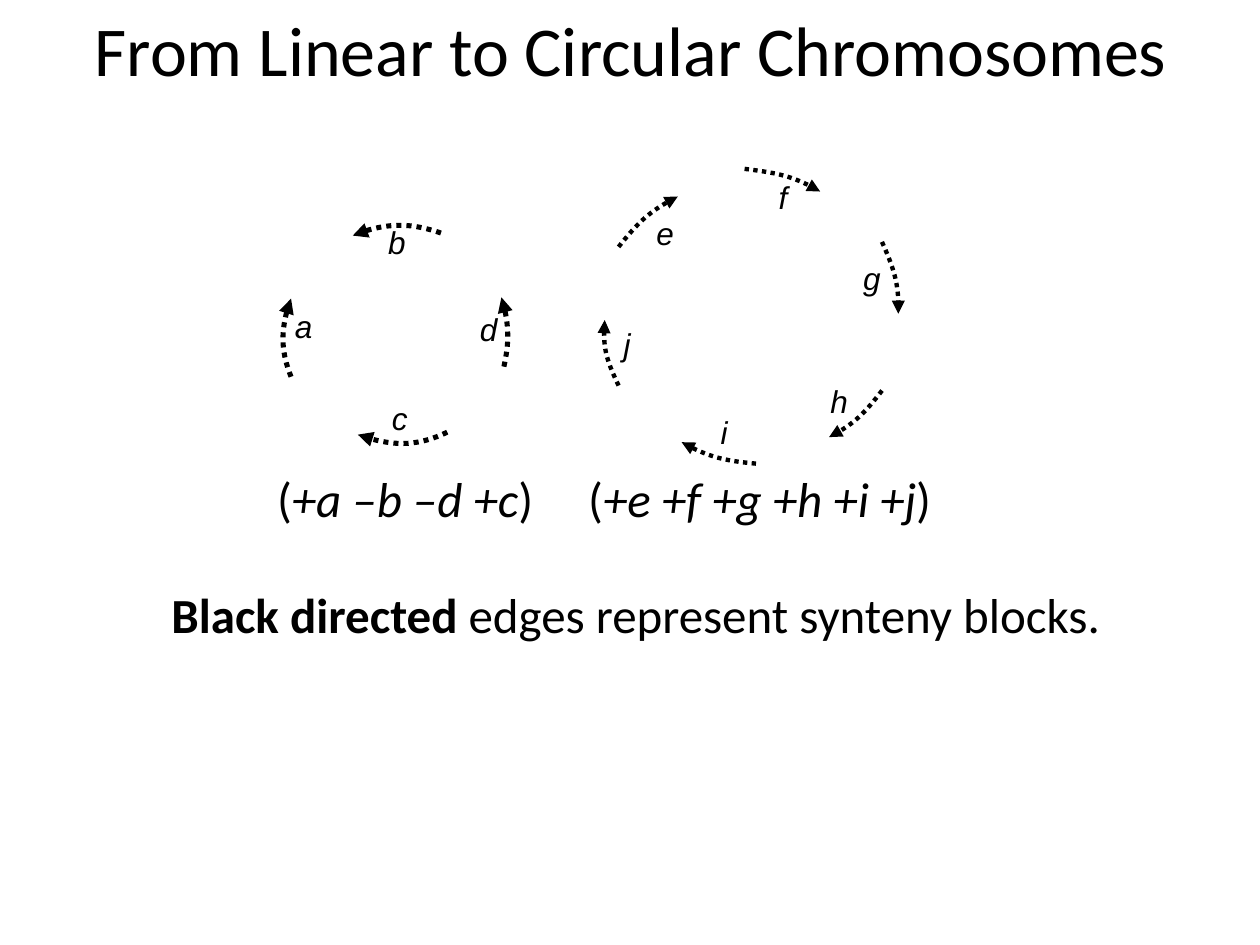
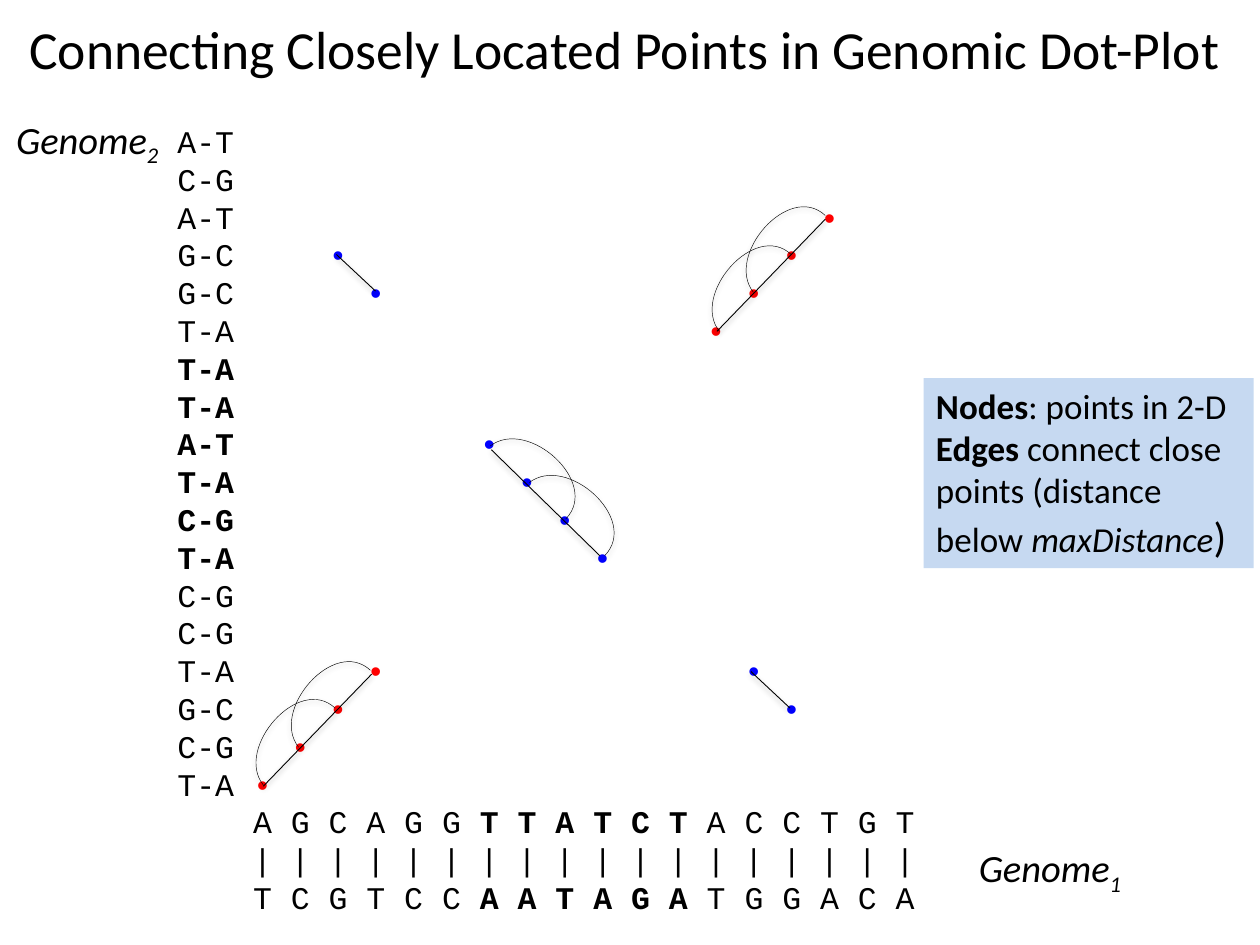
from collections import defaultdict
from dataclasses import dataclass

from lxml import etree
from pptx import Presentation
from pptx.dml.color import RGBColor
from pptx.enum.dml import MSO_LINE
from pptx.enum.shapes import MSO_CONNECTOR, MSO_SHAPE
from pptx.enum.text import MSO_ANCHOR, MSO_AUTO_SIZE, PP_ALIGN
from pptx.oxml.ns import qn
from pptx.util import Inches, Pt

STRAIGHT = MSO_CONNECTOR.STRAIGHT
RECTANGLE = MSO_SHAPE.RECTANGLE
SQUARE_DOT = MSO_LINE.ROUND_DOT
TOP = MSO_ANCHOR.TOP
NO_AUTOFIT = MSO_AUTO_SIZE.NONE
LEFT = PP_ALIGN.LEFT
CENTER = PP_ALIGN.CENTER
TITLE_ONLY = 5


@dataclass(frozen=True)
class Theme:
    black: RGBColor = RGBColor(0, 0, 0)
    red: RGBColor = RGBColor(255, 0, 0)
    blue: RGBColor = RGBColor(0, 0, 255)
    callout: RGBColor = RGBColor(0xC6, 0xD9, 0xF1)
    body_font: str = "Calibri"
    label_font: str = "Arial"
    code_font: str = "Courier New"
    title_size: float = 40
    long_title_size: float = 30.6
    body_size: float = 28
    axis_size: float = 22
    callout_size: float = 20
    large_callout_size: float = 24
    small_size: float = 18
    code_line: float = 21.6


THEME = Theme()


@dataclass(frozen=True)
class Run:
    text: str
    bold: bool = False
    italic: bool = False
    size: float = 0
    baseline: int = 0
    color: RGBColor = THEME.black


@dataclass(frozen=True)
class Block:
    runs: list
    align: PP_ALIGN = LEFT
    tabs: tuple = ()
    indent: float = 0
    space_before: float = 0
    line_points: float = 0


COMPLEMENT = {"A": "T", "T": "A", "C": "G", "G": "C"}
GENOME_1 = "AGCAGGTTATCTACCTGT"
GENOME_2 = "ACAGGTTTATCTCCTGCT"
SHARED_START, SHARED_END = 6, 12
COLUMN_PITCH = 0.3
STRAND_INDENT = 0.6

BLOCK_EDGES = [
    (2.89, [(2.31, 2.99), (2.23, 2.79), (2.23, 2.57), (2.31, 2.37)]),
    (2.89, [(3.5, 1.85), (3.27, 1.77), (3.03, 1.77), (2.8, 1.87)]),
    (2.89, [(3.55, 3.43), (3.32, 3.54), (3.08, 3.54), (2.84, 3.45)]),
    (2.89, [(4, 2.91), (4.04, 2.73), (4.04, 2.54), (3.98, 2.36)]),
    (2.5, [(4.91, 1.96), (5.06, 1.77), (5.18, 1.66), (5.38, 1.56)]),
    (2.5, [(5.91, 1.34), (6.15, 1.37), (6.31, 1.4), (6.51, 1.52)]),
    (2.5, [(7, 1.92), (7.09, 2.12), (7.14, 2.28), (7.13, 2.49)]),
    (2.5, [(7, 3.1), (6.87, 3.27), (6.76, 3.38), (6.58, 3.47)]),
    (2.5, [(6, 3.68), (5.77, 3.66), (5.6, 3.62), (5.41, 3.51)]),
    (2.5, [(4.91, 3.06), (4.82, 2.87), (4.78, 2.74), (4.8, 2.54)]),
]
BLOCK_LABELS = {
    "a": (2.34, 2.44), "b": (3.08, 1.77), "c": (3.11, 3.17), "d": (3.81, 2.46),
    "e": (5.21, 1.7), "f": (6.18, 1.41), "g": (6.85, 2.06), "h": (6.59, 3.03),
    "i": (5.72, 3.28), "j": (4.95, 2.58),
}

RISING, FALLING = -1, 1
DIAGONALS = [
    (12, 5, RISING, 4, THEME.red),
    (0, 17, RISING, 4, THEME.red),
    (6, 8, FALLING, 4, THEME.blue),
    (2, 3, FALLING, 2, THEME.blue),
    (13, 14, FALLING, 2, THEME.blue),
]
DOT_EDGES = [
    (5.69, 2.63, 6.55, 1.74),
    (2.09, 6.24, 2.95, 5.35),
    (3.9, 3.57, 4.76, 4.41),
    (2.67, 2.02, 2.98, 2.31),
    (5.96, 5.33, 6.27, 5.62),
]
ARC_STARTS = {
    RISING: [(5.98, 2.32), (5.71, 2.63), (2.37, 5.93), (2.09, 6.23)],
    FALLING: [(4.2, 3.83), (3.89, 3.54)],
}
ARC_OFFSETS = {
    RISING: [(0, 0), (-0.23, -0.29), (0.28, -0.88), (0.57, -0.61)],
    FALLING: [(0, 0), (0.3, -0.23), (0.88, 0.29), (0.6, 0.58)],
}


def set_tab_stops(paragraph, positions):
    tab_list = etree.SubElement(paragraph._p.get_or_add_pPr(), qn("a:tabLst"))
    for position in positions:
        etree.SubElement(tab_list, qn("a:tab"), pos=str(Inches(position)), algn="l")


def format_paragraph(paragraph, block):
    if block.tabs:
        set_tab_stops(paragraph, block.tabs)
    if block.indent:
        paragraph._p.get_or_add_pPr().set("marL", str(Inches(block.indent)))
    if block.space_before:
        paragraph.space_before = Pt(block.space_before)
    if block.line_points:
        paragraph.line_spacing = Pt(block.line_points)
    paragraph.alignment = block.align


def fill_text(frame, blocks, font, size, inset=0.1):
    frame.word_wrap = True
    frame.auto_size = NO_AUTOFIT
    frame.vertical_anchor = TOP
    frame.margin_left = frame.margin_right = Inches(inset)
    frame.margin_top = frame.margin_bottom = Inches(inset / 2)
    for index, block in enumerate(blocks):
        paragraph = frame.paragraphs[0] if index == 0 else frame.add_paragraph()
        format_paragraph(paragraph, block)
        for item in block.runs:
            run = paragraph.add_run()
            run.text = item.text
            run.font.name = font
            run.font.size = Pt(item.size or size)
            run.font.bold = item.bold
            run.font.italic = item.italic
            run.font.color.rgb = item.color
            if item.baseline:
                run.font._element.set("baseline", str(item.baseline))


def add_text(slide, box, blocks, font, size, inset=0.1):
    shape = slide.shapes.add_textbox(*map(Inches, box))
    fill_text(shape.text_frame, blocks, font, size, inset)


def add_titled_slide(presentation, title, box, size):
    slide = presentation.slides.add_slide(presentation.slide_layouts[TITLE_ONLY])
    shape = slide.shapes.title
    shape.left, shape.top, shape.width, shape.height = map(Inches, box)
    fill_text(shape.text_frame, [Block([Run(title)], CENTER)], THEME.body_font, size)
    return slide


def style_line(shape, width):
    shape.line.color.rgb = THEME.black
    shape.line.width = Pt(width)


def add_soft_shadow(shape):
    properties = shape._element.spPr
    effects = properties.find(qn("a:effectLst"))
    if effects is None:
        effects = etree.SubElement(properties, qn("a:effectLst"))
    shadow = etree.SubElement(effects, qn("a:outerShdw"), blurRad="40000",
                              dist="20000", dir="5400000", rotWithShape="0")
    color = etree.SubElement(shadow, qn("a:srgbClr"), val=str(THEME.black))
    etree.SubElement(color, qn("a:alpha"), val="38000")


def add_curve(slide, controls, width):
    start, *others = [(Inches(x), Inches(y)) for x, y in controls]
    builder = slide.shapes.build_freeform(*start)
    builder.add_line_segments(others, close=False)
    shape = builder.convert_to_shape()
    outline = next(shape._element.iter(qn("a:path")))
    bezier = etree.SubElement(outline, qn("a:cubicBezTo"))
    for segment in outline.findall(qn("a:lnTo")):
        bezier.append(segment[0])
        outline.remove(segment)
    shape.shadow.inherit = False
    shape.fill.background()
    style_line(shape, width)
    return shape


def add_block_edge(slide, controls, width):
    shape = add_curve(slide, controls, width)
    shape.line.dash_style = SQUARE_DOT
    etree.SubElement(shape.line._get_or_add_ln(), qn("a:tailEnd"), type="triangle")


def add_dot_edge(slide, ends):
    line = slide.shapes.add_connector(STRAIGHT, *map(Inches, ends))
    style_line(line, 0.5)
    add_soft_shadow(line)


def add_arcs(slide, direction):
    for x, y in ARC_STARTS[direction]:
        controls = [(x + dx, y + dy) for dx, dy in ARC_OFFSETS[direction]]
        add_soft_shadow(add_curve(slide, controls, 0.25))


def dots_by_row():
    rows = defaultdict(list)
    for column, row, direction, count, color in DIAGONALS:
        for step in range(count):
            rows[row + direction * step].append((column + step, color))
    return rows


def base_pair_block(row, base, dots):
    shared = SHARED_START <= row < SHARED_END
    runs = [Run(f"{base}-{COMPLEMENT[base]}", bold=shared)]
    runs += [Run("\t•", color=color) for _, color in dots]
    tabs = tuple(STRAND_INDENT + COLUMN_PITCH * column for column, _ in dots)
    return Block(runs, tabs=tabs, line_points=THEME.code_line)


def strand_block(bases):
    runs = [Run(" ".join(bases[:SHARED_START]) + " "),
            Run(" ".join(bases[SHARED_START:SHARED_END]) + " ", bold=True),
            Run(" ".join(bases[SHARED_END:]))]
    return Block(runs, indent=STRAND_INDENT, line_points=THEME.code_line)


def add_dot_plot(slide):
    rows = dots_by_row()
    blocks = [base_pair_block(row, base, sorted(rows[row], key=lambda dot: dot[0]))
              for row, base in enumerate(GENOME_2)]
    blocks += [strand_block(GENOME_1),
               Block([Run(" ".join("|" * len(GENOME_1)))], indent=STRAND_INDENT,
                     line_points=THEME.code_line),
               strand_block([COMPLEMENT[base] for base in GENOME_1])]
    add_text(slide, (1.31, 0.92, 7.41, 6.47), blocks, THEME.code_font, THEME.small_size)


def add_axis_name(slide, left, top, number):
    runs = [Run("Genome", italic=True), Run(number, italic=True, baseline=-25000)]
    add_text(slide, (left, top, 1.36, 0.47), [Block(runs)], THEME.body_font, THEME.axis_size)


def add_callout(slide, box, blocks):
    shape = slide.shapes.add_shape(RECTANGLE, *map(Inches, box))
    shape.shadow.inherit = False
    shape.fill.solid()
    shape.fill.fore_color.rgb = THEME.callout
    shape.line.fill.background()
    fill_text(shape.text_frame, blocks, THEME.body_font, THEME.callout_size)


def build_chromosomes_slide(presentation):
    slide = add_titled_slide(presentation, "From Linear to Circular Chromosomes",
                             (0.59, 0, 8.83, 1.05), THEME.title_size)
    for width, controls in BLOCK_EDGES:
        add_block_edge(slide, controls, width)
    for letter, (left, top) in BLOCK_LABELS.items():
        add_text(slide, (left, top, 0.26, 0.3), [Block([Run(letter, italic=True)])],
                 THEME.label_font, THEME.small_size, inset=0)
    formula = []
    for blocks in ("+a –b –d +c", "+e +f +g +h +i +j"):
        formula += [Run("\t("), Run(blocks, italic=True), Run(")")]
    caption = [Run("Black directed", bold=True), Run(" edges represent synteny blocks.")]
    add_text(slide, (0.17, 3.67, 9.75, 1.99),
             [Block(formula, tabs=(1.93, 4.4)), Block(caption, CENTER, space_before=32.5)],
             THEME.body_font, THEME.body_size)


def build_dot_plot_slide(presentation):
    slide = add_titled_slide(presentation,
                             "Connecting Closely Located Points in Genomic Dot-Plot",
                             (0.04, 0.08, 9.83, 0.83), THEME.long_title_size)
    add_dot_plot(slide)
    add_axis_name(slide, 7.67, 6.65, "1")
    add_axis_name(slide, 0.03, 0.87, "2")
    for ends in DOT_EDGES:
        add_dot_edge(slide, ends)
    for direction in ARC_STARTS:
        add_arcs(slide, direction)
    add_callout(slide, (7.33, 3, 2.62, 1.51), [
        Block([Run("Nodes", bold=True), Run(": points in 2-D")]),
        Block([Run("Edges", bold=True), Run(" connect close points (distance below "),
               Run("maxDistance", italic=True), Run(")", size=THEME.large_callout_size)]),
    ])


def main():
    presentation = Presentation()
    presentation.slide_width = Inches(10)
    presentation.slide_height = Inches(7.5)
    build_chromosomes_slide(presentation)
    build_dot_plot_slide(presentation)
    presentation.save("out.pptx")


if __name__ == "__main__":
    main()
